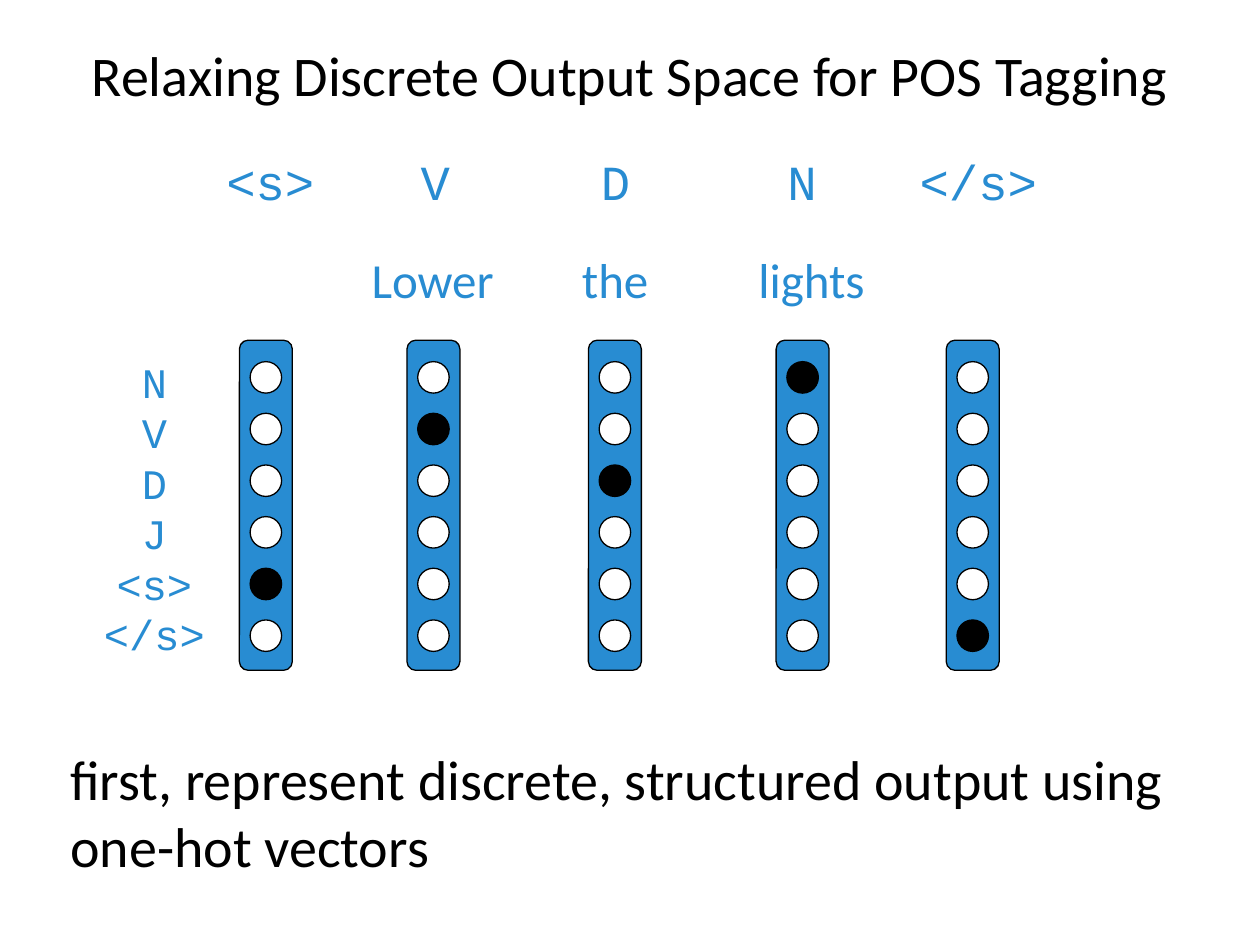
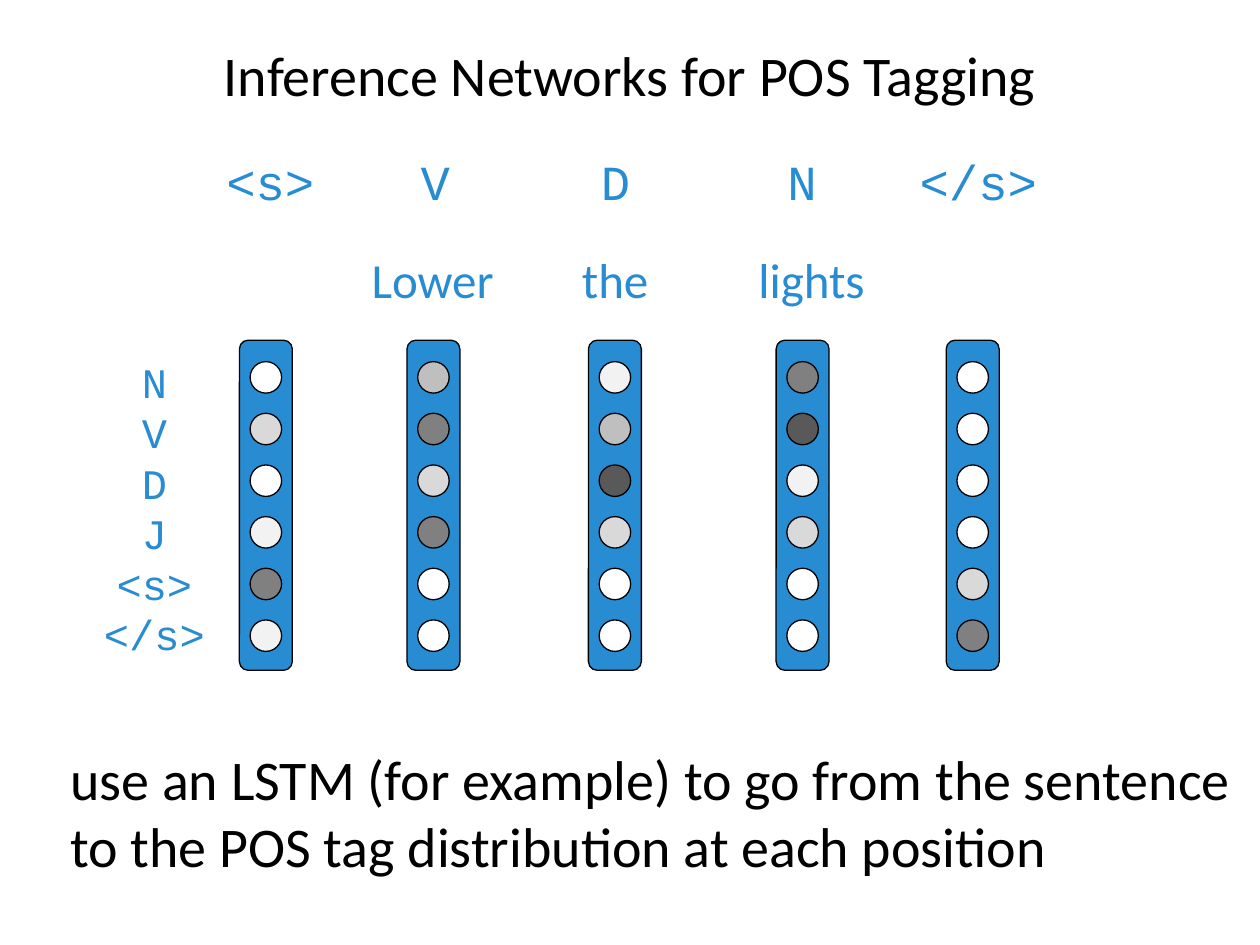
from dataclasses import dataclass

from lxml import etree
from pptx import Presentation
from pptx import util as u
from pptx.dml.color import RGBColor
from pptx.enum import shapes, text
from pptx.oxml import ns


@dataclass(frozen=True)
class Theme:
    black: str = "000000"
    white: str = "FFFFFF"
    blue: str = "288CD2"
    sans: str = "Calibri"
    mono: str = "Courier New"
    large: int = 32
    medium: int = 28
    small: int = 24
    outline: float = 0.75


ROW_TAGS = ["N", "V", "D", "J", "<s>", "</s>"]
# Sentence tag, left and width of its label, left of its vector
COLUMNS = [
    ("<s>", 1.65, 0.99, 1.90),
    ("V", 2.96, 0.99, 3.23),
    ("D", 4.39, 0.99, 4.67),
    ("N", 5.87, 0.99, 6.16),
    ("</s>", 7.13, 1.27, 7.51),
]
WORDS = ["Lower", "the", "lights"]
WORD_TABS = [1.67, 3.07]

# Vector geometry in inches
BAR_TOP, BAR_WIDTH, BAR_HEIGHT = 2.70, 0.42, 2.62
DOT_SIZE, DOT_MARGIN, DOT_STEP = 0.25, 0.17, 0.41

# Greys of the predicted tag distributions, one row per column
OFF, FAINT, LIGHT, MILD, MID, DARK = (
    "FFFFFF", "F2F2F2", "D9D9D9", "BFBFBF", "808080", "595959")
DISTRIBUTIONS = [
    [OFF, LIGHT, OFF, FAINT, MID, FAINT],
    [MILD, MID, LIGHT, MID, OFF, OFF],
    [FAINT, MILD, DARK, LIGHT, OFF, OFF],
    [MID, DARK, FAINT, LIGHT, OFF, OFF],
    [OFF, OFF, OFF, OFF, LIGHT, MID],
]


class Painter:
    """Holds the theme and the current slide."""

    def __init__(self, deck, theme):
        self.deck, self.theme, self.page = deck, theme, None

    def new_page(self):
        self.page = self.deck.slides.add_slide(self.deck.slide_layouts[6])

    def text_box(self, place, lines, size, color, font, align=None, tabs=(),
                 anchor=text.MSO_ANCHOR.TOP):
        box = self.page.shapes.add_textbox(*map(u.Inches, place))
        frame = box.text_frame
        frame.word_wrap = True
        frame.vertical_anchor = anchor
        for index, line in enumerate(lines):
            para = frame.paragraphs[0] if index == 0 else frame.add_paragraph()
            para.alignment = align
            if tabs:
                self.add_tabs(para, tabs)
            span = para.add_run()
            span.text = line
            span.font.color.rgb = RGBColor.from_string(color)
            for name, value in {"name": font, "size": u.Pt(size)}.items():
                setattr(span.font, name, value)

    def add_tabs(self, para, positions):
        stops = etree.SubElement(para._p.get_or_add_pPr(), ns.qn("a:tabLst"))
        for position in positions:
            etree.SubElement(stops, ns.qn("a:tab"),
                             pos=str(u.Inches(position)), algn="l")

    def shape(self, kind, place, fill):
        shape = self.page.shapes.add_shape(kind, *map(u.Inches, place))
        shape.shadow.inherit = False
        shape.fill.solid()
        shape.fill.fore_color.rgb = RGBColor.from_string(fill)
        shape.line.color.rgb = RGBColor.from_string(self.theme.black)
        shape.line.width = u.Pt(self.theme.outline)

    def title(self, words):
        theme = self.theme
        self.text_box((0.5, 0.19, 9, 0.79), [words], theme.large, theme.black,
                      theme.sans, text.PP_ALIGN.CENTER,
                      anchor=text.MSO_ANCHOR.MIDDLE)

    def caption(self, words):
        theme = self.theme
        self.text_box((0.46, 5.86, 9.6, 1.18), [words], theme.large,
                      theme.black, theme.sans)

    def tags(self, place, lines, size):
        self.text_box(place, lines, size, self.theme.blue, self.theme.mono,
                      text.PP_ALIGN.CENTER)

    def sentence(self):
        theme = self.theme
        self.text_box((2.85, 1.93, 4.28, 0.57), ["\t".join(WORDS)],
                      theme.medium, theme.blue, theme.sans, tabs=WORD_TABS)

    def vector(self, left, dot_fills):
        kinds = shapes.MSO_SHAPE
        self.shape(kinds.ROUNDED_RECTANGLE,
                   (left, BAR_TOP, BAR_WIDTH, BAR_HEIGHT), self.theme.blue)
        dot_left = left + (BAR_WIDTH - DOT_SIZE) / 2
        for row, fill in enumerate(dot_fills):
            dot_top = BAR_TOP + DOT_MARGIN + row * DOT_STEP
            self.shape(kinds.OVAL, (dot_left, dot_top, DOT_SIZE, DOT_SIZE), fill)

    def tagging_page(self, title, caption, vectors):
        self.new_page()
        self.title(title)
        self.sentence()
        self.tags((0.7, 2.78, 1.05, 2.52), ROW_TAGS, self.theme.small)
        for (tag, left, width, bar_left), fills in zip(COLUMNS, vectors):
            self.tags((left, 1.15, width, 0.57), [tag], self.theme.medium)
            self.vector(bar_left, fills)
        self.caption(caption)


def main():
    deck = Presentation()
    deck.slide_width, deck.slide_height = u.Inches(10), u.Inches(7.5)
    theme = Theme()
    painter = Painter(deck, theme)

    # One-hot vectors: the dot of each column's own tag is black
    one_hot = [[theme.black if row == tag else theme.white for row in ROW_TAGS]
               for tag, *_ in COLUMNS]
    painter.tagging_page(
        "Relaxing Discrete Output Space for POS Tagging",
        "first, represent discrete, structured output using one-hot vectors",
        one_hot)

    # Tag distributions from an inference network
    painter.tagging_page(
        "Inference Networks for POS Tagging",
        "use an LSTM (for example) to go from the sentence to the POS tag "
        "distribution at each position",
        DISTRIBUTIONS)

    deck.save("out.pptx")


if __name__ == "__main__":
    main()
